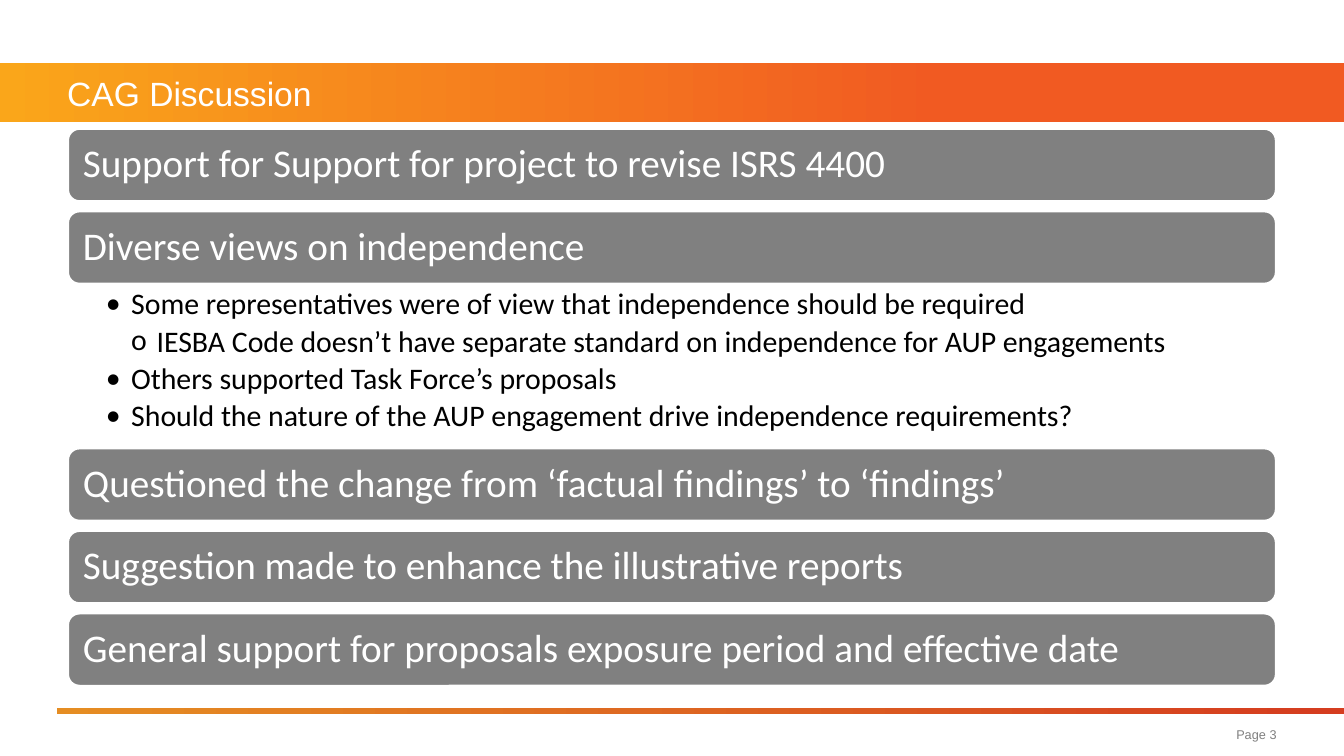
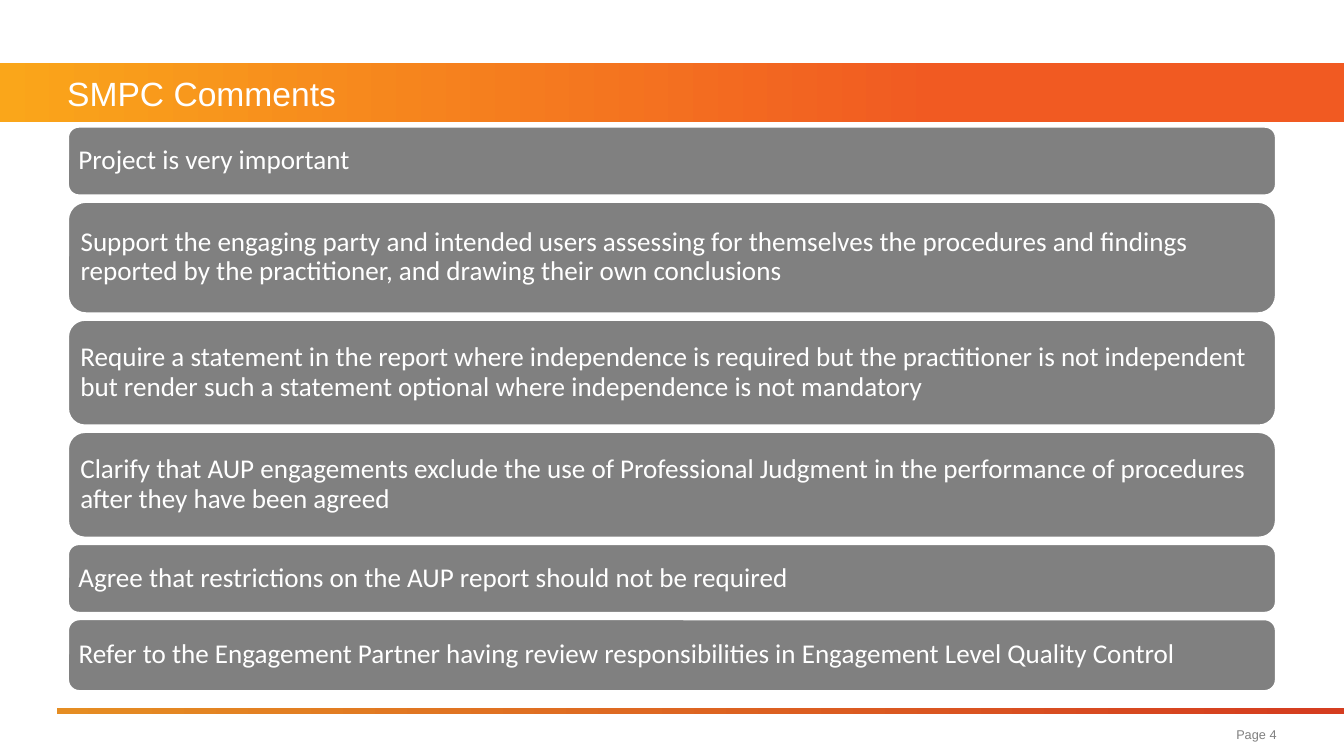
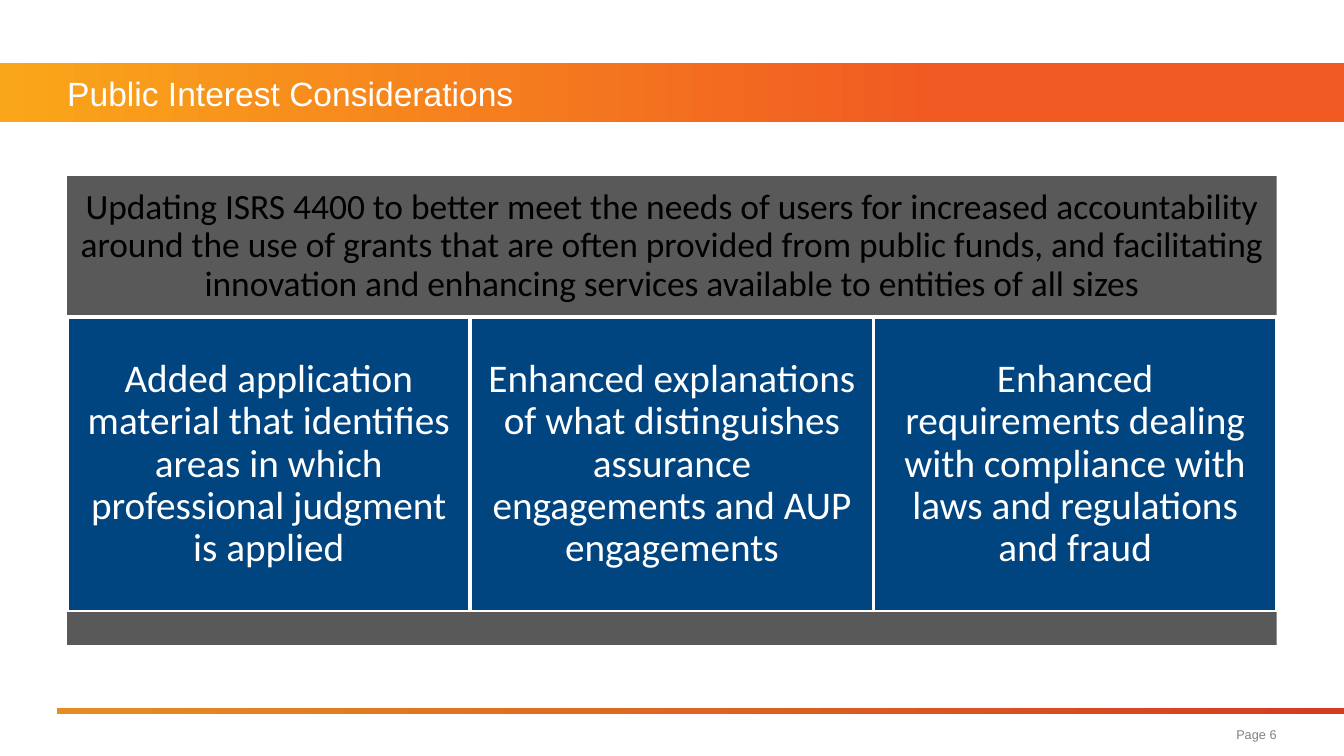
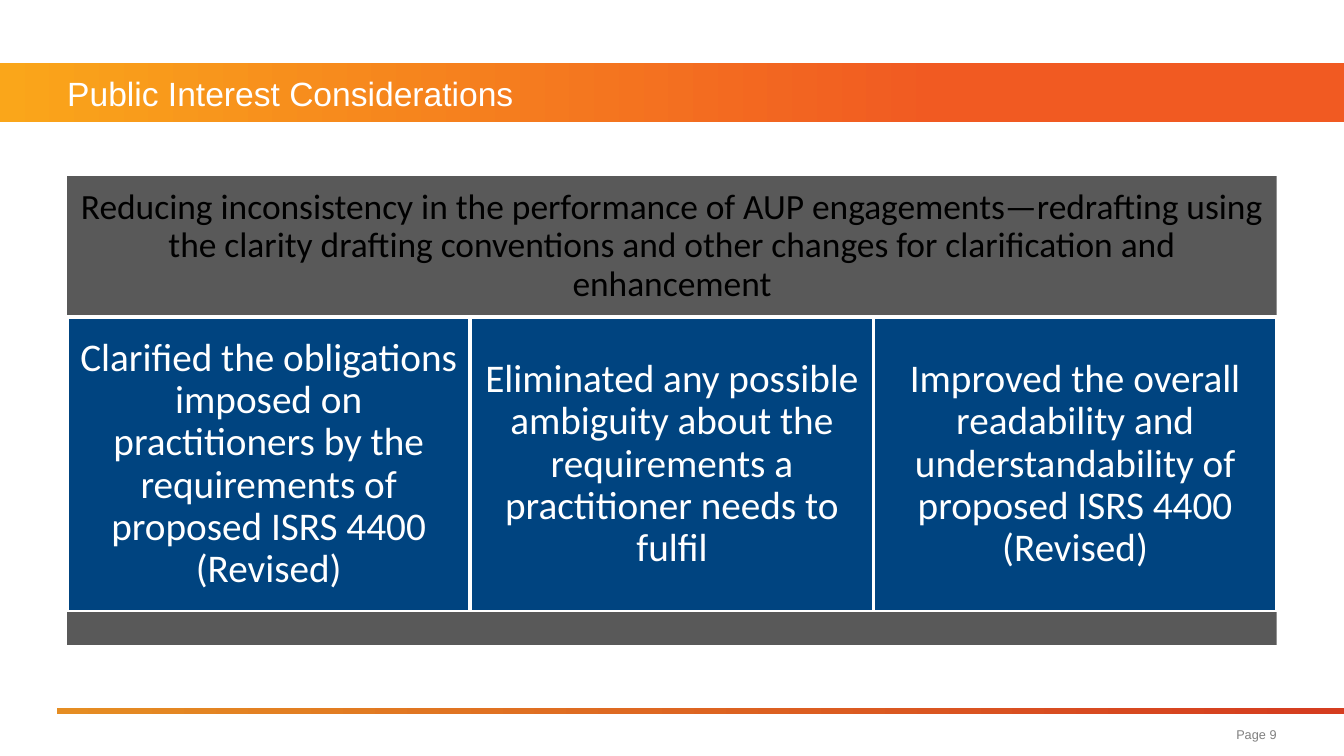
from lxml import etree
from pptx import Presentation
from pptx.dml.color import RGBColor
from pptx.enum.shapes import MSO_SHAPE
from pptx.enum.text import MSO_ANCHOR, MSO_AUTO_SIZE, PP_ALIGN
from pptx.oxml.ns import qn
from pptx.util import Cm, Pt

COLORS = {
    "white": "FFFFFF", "black": "000000", "gray": "808080", "dark": "595959",
    "blue": "004480", "yellow": "FAA61A", "orange": "F15A22",
    "amber": "E58D23", "red": "D53D20",
}
LEFT, WIDTH = 1.27, 22.86


def format_text(sp, text, size, color, font="Calibri", align=PP_ALIGN.LEFT, inset=0, spacing=0.9):
    tf = sp.text_frame
    tf.text = text
    tf.word_wrap = True
    tf.auto_size = MSO_AUTO_SIZE.NONE
    tf.vertical_anchor = MSO_ANCHOR.MIDDLE
    tf.margin_left = tf.margin_right = tf.margin_top = tf.margin_bottom = Cm(inset)
    for p in tf.paragraphs:
        p.alignment = align
        p.line_spacing = spacing
        p.space_before = Pt(0)
        for r in p.runs:
            r.font.name = font
            r.font.size = Pt(size)
            r.font.color.rgb = RGBColor.from_string(COLORS[color])


def add_box(s, kind, x, y, w, h, fill, line=None):
    sp = s.shapes.add_shape(kind, Cm(x), Cm(y), Cm(w), Cm(h))
    sp.shadow.inherit = False
    sp.fill.solid()
    sp.fill.fore_color.rgb = RGBColor.from_string(COLORS[fill])
    if line:
        sp.line.color.rgb = RGBColor.from_string(COLORS[line])
        sp.line.width = Pt(2)
    else:
        sp.line.fill.background()
    return sp


prs = Presentation()
prs.slide_width, prs.slide_height = Cm(25.4), Cm(14.29)

# Slides with title and page number
pages = [("CAG Discussion", 3, 1), ("SMPC Comments", 4, 5),
         ("Public Interest Considerations", 6, 5), ("Public Interest Considerations", 9, 5)]
slides = []
for title, number, layout in pages:
    s = prs.slides.add_slide(prs.slide_layouts[layout])
    sp = s.shapes.title
    sp.left, sp.top, sp.width, sp.height = Cm(LEFT), Cm(1.19), Cm(WIDTH), Cm(1.12)
    format_text(sp, title, 18, "white", "Arial", spacing=1.0)
    sp = s.shapes.add_textbox(Cm(16.46), Cm(13.56), Cm(7.67), Cm(0.64))
    format_text(sp, f"Page {number}", 6.8, "gray", "Arial", PP_ALIGN.RIGHT, spacing=1.0)
    slides.append(s)

# Gradient bands, kept on the slide master
bands = [(0, 1.19, 25.4, 1.12, "yellow", "orange", 0.7),
         (1.07, 13.39, 24.33, 0.1, "amber", "red", 0.99)]
master_tree = prs.slide_master.shapes._spTree
for i, (x, y, w, h, start, end, stop) in enumerate(bands):
    sp = add_box(slides[0], MSO_SHAPE.RECTANGLE, x, y, w, h, start)
    sp.fill.gradient()
    sp.fill.gradient_angle = 0
    first, last = sp.fill.gradient_stops
    first.position, last.position = 0, stop
    first.color.rgb = RGBColor.from_string(COLORS[start])
    last.color.rgb = RGBColor.from_string(COLORS[end])
    sp._element.nvSpPr.cNvPr.set("id", str(101 + i))
    master_tree.insert(2 + i, sp._element)

# Stacked bars: slide, top, gap, text size, inset, (text, height)
views = [
    ("Some representatives were of view that independence should be required", 1),
    ("IESBA Code doesn’t have separate standard on independence for AUP engagements", 2),
    ("Others supported Task Force’s proposals", 1),
    ("Should the nature of the AUP engagement drive independence requirements?", 1),
]
stacks = [
    (slides[0], 2.42, 0.16, 21, 0.23, [
        ("Support for Support for project to revise ISRS 4400", 1.4),
        ("Diverse views on independence", 1.4),
        (views, 3.08),
        ("Questioned the change from ‘factual findings’ to ‘findings’", 1.4),
        ("Suggestion made to enhance the illustrative reports", 1.4),
        ("General support for proposals exposure period and effective date", 1.4),
    ]),
    (slides[1], 2.38, 0.09, 14.5, 0.15, [
        ("Project is very important", 1.33),
        ("Support the engaging party and intended users assessing for themselves the procedures "
         "and findings reported by the practitioner, and drawing their own conclusions", 2.14),
        ("Require a statement in the report where independence is required but the practitioner "
         "is not independent but render such a statement optional where independence is not "
         "mandatory", 2.03),
        ("Clarify that AUP engagements exclude the use of Professional Judgment in the "
         "performance of procedures after they have been agreed", 2.03),
        ("Agree that restrictions on the AUP report should not be required", 1.33),
        ("Refer to the Engagement Partner having review responsibilities in Engagement Level "
         "Quality Control", 1.39),
    ]),
]
for s, y, gap, size, inset, items in stacks:
    for text, h in items:
        if text is not views:
            sp = add_box(s, MSO_SHAPE.ROUNDED_RECTANGLE, LEFT, y, WIDTH, h, "gray", "white")
            format_text(sp, text, size, "white", inset=inset)
            y += h + gap
            continue
        # The list touches the bars above and below it
        y -= gap
        sp = s.placeholders[1]
        sp.left, sp.top, sp.width, sp.height = Cm(LEFT), Cm(y), Cm(WIDTH), Cm(h)
        format_text(sp, "\n".join(view for view, _ in views), 16, "black", inset=0.08)
        tf = sp.text_frame
        tf.vertical_anchor = MSO_ANCHOR.TOP
        tf.margin_left, tf.margin_right = Cm(0.73), Cm(0.41)
        for p, (_, level) in zip(tf.paragraphs, views):
            p.level = level
            p.space_after = Pt(2.8)
            pPr = p._p.get_or_add_pPr()
            pPr.set("marL", str(Cm(0.48 * level)))
            pPr.set("indent", str(-Cm(0.48)))
            etree.SubElement(pPr, qn("a:buFont")).set("typeface", "Calibri")
            etree.SubElement(pPr, qn("a:buChar")).set("char", "•" if level == 1 else "o")
        y += h

# Heading, three columns and a base strip
panels = [
    (slides[2],
     "Updating ISRS 4400 to better meet the needs of users for increased accountability around "
     "the use of grants that are often provided from public funds, and facilitating innovation "
     "and enhancing services available to entities of all sizes",
     ["Added application material that identifies areas in which professional judgment is applied",
      "Enhanced explanations of what distinguishes assurance engagements and AUP engagements",
      "Enhanced requirements dealing with compliance with laws and regulations and fraud"]),
    (slides[3],
     "Reducing inconsistency in the performance of AUP engagements—redrafting using the clarity "
     "drafting conventions and other changes for clarification and enhancement",
     ["Clarified the obligations imposed on practitioners by the requirements of proposed "
      "ISRS 4400 (Revised)",
      "Eliminated any possible ambiguity about the requirements a practitioner needs to fulfil",
      "Improved the overall readability and understandability of proposed ISRS 4400 (Revised)"]),
]
for s, heading, columns in panels:
    sp = add_box(s, MSO_SHAPE.RECTANGLE, LEFT, 3.33, WIDTH, 2.66, "dark")
    format_text(sp, heading, 19, "black", align=PP_ALIGN.CENTER, inset=0.2)
    w = WIDTH / len(columns)
    for i, text in enumerate(columns):
        sp = add_box(s, MSO_SHAPE.RECTANGLE, LEFT + i * w, 5.99, w, 5.58, "blue", "white")
        format_text(sp, text, 21, "white", align=PP_ALIGN.CENTER, inset=0.23)
    add_box(s, MSO_SHAPE.RECTANGLE, LEFT, 11.57, WIDTH, 0.62, "dark")

prs.save("out.pptx")
